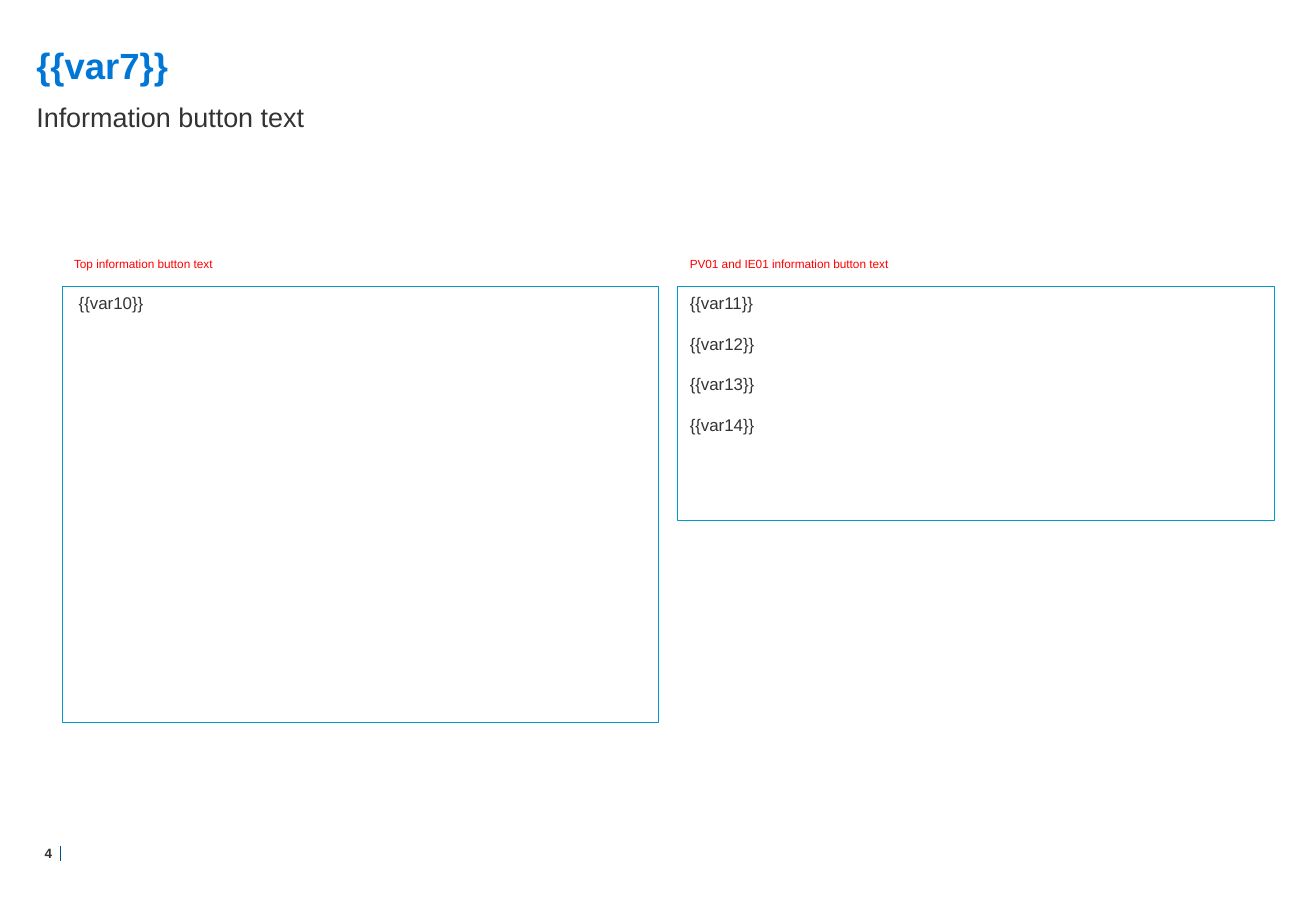
"""Build the information button text slide with its two variable panels."""
import pptx
import pptx.util
import pptx.dml.color
import pptx.enum.shapes
import pptx.enum.text
import pptx.oxml

Cm = pptx.util.Cm
Pt = pptx.util.Pt
ALIGN = pptx.enum.text.PP_ALIGN
ANCHOR = pptx.enum.text.MSO_ANCHOR
COLORS = {"title": "0076D6", "text": "333333", "label": "FF0000",
          "frame": "0099CC", "rule": "004E86"}


def rgb(name):
    return pptx.dml.color.RGBColor.from_string(COLORS[name])


def write(sp, lines, size, color, bold=False, align=ALIGN.LEFT,
          anchor=ANCHOR.TOP, inset=(0, 0), gap=0):
    tf = sp.text_frame
    tf.word_wrap = True
    tf.auto_size = pptx.enum.text.MSO_AUTO_SIZE.NONE
    tf.vertical_anchor = anchor
    tf.margin_left = tf.margin_right = Cm(inset[0])
    tf.margin_top = tf.margin_bottom = Cm(inset[1])
    for i, line in enumerate(lines):
        p = tf.paragraphs[0] if i == 0 else tf.add_paragraph()
        p.text = line
        p.alignment = align
        p.space_before = Pt(gap if i else 0)
        p.font.name = "Arial"
        p.font.size = Pt(size)
        p.font.bold = bold
        p.font.color.rgb = rgb(color)


prs = pptx.Presentation()
prs.slide_width, prs.slide_height = Cm(27.51), Cm(19.05)
s = prs.slides.add_slide(prs.slide_layouts[0])

headings = [("{{var7}}", 0.89, 21.6, "title", True),
            ("Information button text", 2.11, 16, "text", False)]
for sp, (text, top, size, color, bold) in zip(s.placeholders, headings):
    sp.left, sp.top, sp.width, sp.height = Cm(0.76), Cm(top), Cm(25.88), Cm(0.91)
    write(sp, [text], size, color, bold)

rule = s.shapes.add_connector(pptx.enum.shapes.MSO_CONNECTOR.STRAIGHT,
                              Cm(1.27), Cm(17.7), Cm(1.27), Cm(18))
rule.line.color.rgb = rgb("rule")
rule.line.width = Pt(0.75)
rule._element.spPr.append(pptx.oxml.parse_xml(
    '<a:effectLst xmlns:a="http://schemas.openxmlformats.org/drawingml/2006/main"/>'))

number = s.shapes.add_textbox(Cm(0.13), Cm(17.55), Cm(0.96), Cm(0.56))
write(number, ["4"], 8, "text", True, ALIGN.RIGHT, ANCHOR.MIDDLE)

panels = [
    (1.3, 9.12, "Top information button text", [" {{var10}}"]),
    (14.17, 4.9, "PV01 and IE01 information button text",
     ["{{var11}}", "{{var12}}", "{{var13}}", "{{var14}}"]),
]
for left, height, label, lines in panels:
    sp = s.shapes.add_shape(pptx.enum.shapes.MSO_SHAPE.RECTANGLE,
                            Cm(left), Cm(5.99), Cm(12.47), Cm(height))
    sp.shadow.inherit = False
    sp.fill.background()
    sp.line.color.rgb = rgb("frame")
    sp.line.width = Pt(0.75)
    write(sp, lines, 10, "text", align=ALIGN.JUSTIFY, inset=(0.25, 0.13), gap=12)
    sp = s.shapes.add_textbox(Cm(left), Cm(5.23), Cm(7.82), Cm(0.53))
    write(sp, [label], 7, "label", inset=(0.25, 0.13))

prs.save("out.pptx")
